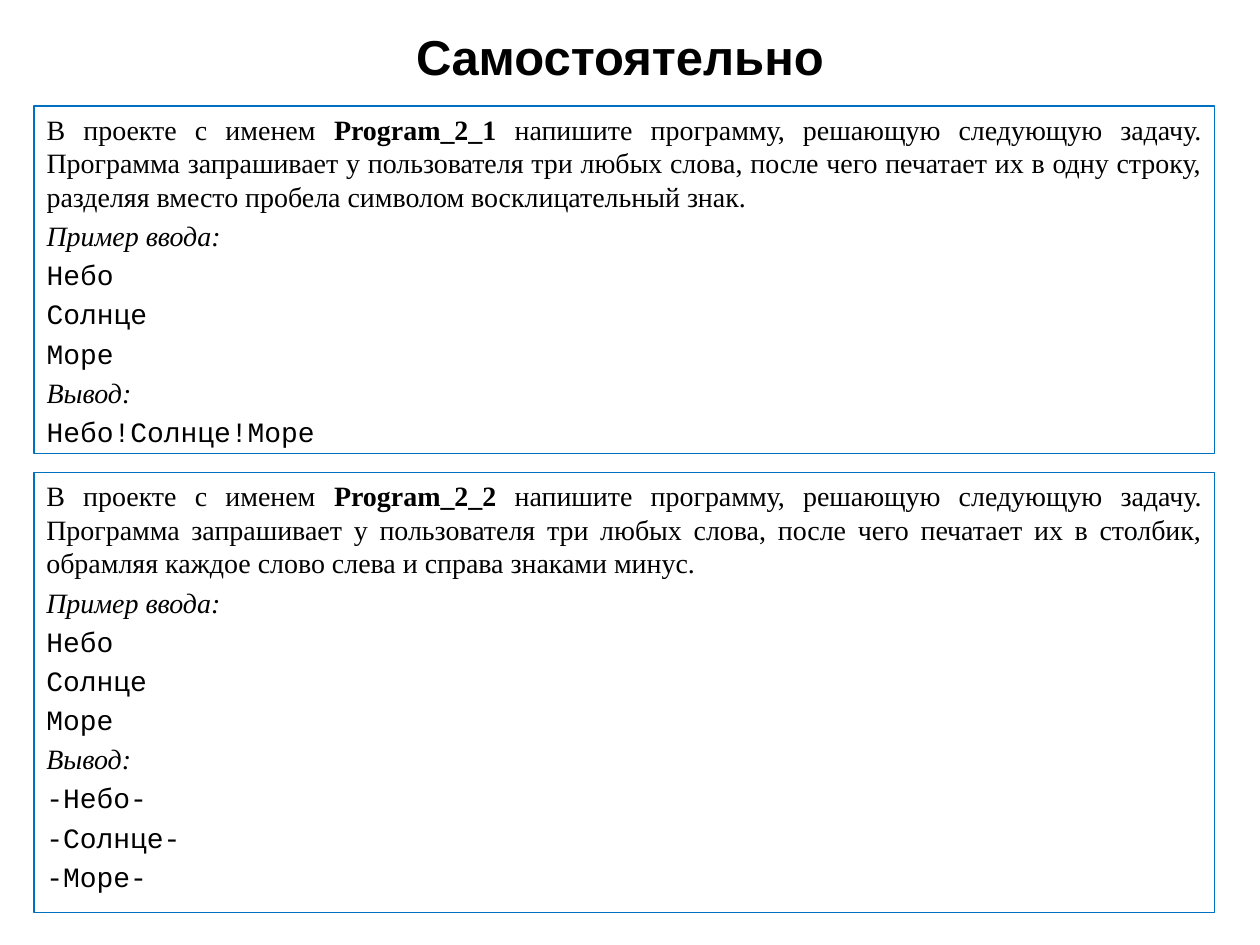
from pptx import Presentation
from pptx.dml.color import RGBColor
from pptx.enum.shapes import MSO_SHAPE
from pptx.enum.text import MSO_ANCHOR as Anchor, MSO_AUTO_SIZE as AutoSize, PP_ALIGN as Align
from pptx.oxml.xmlchemy import OxmlElement
from pptx.util import Inches, Pt

BLACK = RGBColor(0x00, 0x00, 0x00)
WHITE = RGBColor(0xFF, 0xFF, 0xFF)
BLUE = RGBColor(0x00, 0x70, 0xC0)
SERIF, MONO, SANS = "Times New Roman", "Courier New", "Arial"
WORDS = ["Небо", "Солнце", "Море"]
TASK_LEFT, TASK_WIDTH = 0.27, 9.37


def place(shape, left, top, width, height):
    """Move a shape to a box given in inches."""
    shape.left, shape.top = Inches(left), Inches(top)
    shape.width, shape.height = Inches(width), Inches(height)


def add_span(para, text, font=SERIF, size=16, bold=False, italic=False):
    """Append formatted text to a paragraph."""
    span = para.add_run()
    span.text = text
    span.font.name, span.font.size = font, Pt(size)
    span.font.bold, span.font.italic = bold, italic
    span.font.color.rgb = BLACK


def add_title(page, text, box):
    """Fill the title placeholder."""
    title = page.shapes.title
    place(title, *box)
    frame = title.text_frame
    frame.auto_size = AutoSize.NONE
    frame.vertical_anchor = Anchor.MIDDLE
    para = frame.paragraphs[0]
    para.alignment = Align.CENTER
    add_span(para, text, font=SANS, size=28, bold=True)


def add_task(shape, box, project, goal, output, example_align):
    """Fill a framed box with a task, its sample input and its output."""
    place(shape, *box)
    shape.fill.solid()
    shape.fill.fore_color.rgb = WHITE
    shape.line.color.rgb = BLUE
    shape.line.width = Pt(0.75)
    frame = shape.text_frame
    frame.word_wrap = True
    frame.auto_size = AutoSize.NONE
    frame.vertical_anchor = Anchor.TOP

    intro = [
        ("В проекте с именем ", {}),
        (project, {"bold": True}),
        (" напишите программу, решающую следующую задачу. Программа запрашивает "
         "у пользователя три любых слова, после чего печатает их " + goal, {}),
    ]
    rows = [intro]
    for label, lines in (("Пример ввода:", WORDS), ("Вывод:", output)):
        rows.append([(label, {"italic": True})])
        rows += [[(line, {"font": MONO})] for line in lines]

    for index, row in enumerate(rows):
        para = frame.add_paragraph() if index else frame.paragraphs[0]
        para.alignment = example_align if index else Align.JUSTIFY
        para.space_before = Pt(3.2)
        properties = para._p.get_or_add_pPr()
        properties.set("marL", "0")
        properties.set("indent", "0")
        properties.append(OxmlElement("a:buNone"))
        for text, style in row:
            add_span(para, text, **style)


def main():
    """Build the slide and save it."""
    deck = Presentation()
    deck.slide_width, deck.slide_height = Inches(10), Inches(7.5)
    page = deck.slides.add_slide(deck.slide_layouts[1])
    add_title(page, "Cамостоятельно", (0.42, 0.13, 9, 0.62))
    add_task(page.placeholders[1], (TASK_LEFT, 0.84, TASK_WIDTH, 2.76), "Program_2_1",
             "в одну строку, разделяя вместо пробела символом восклицательный знак.",
             ["!".join(WORDS)], Align.LEFT)
    frame_box = page.shapes.add_shape(MSO_SHAPE.RECTANGLE, 0, 0, 0, 0)
    frame_box.shadow.inherit = False
    add_task(frame_box, (TASK_LEFT, 3.75, TASK_WIDTH, 3.49), "Program_2_2",
             "в столбик, обрамляя каждое слово слева и справа знаками минус.",
             [f"-{word}-" for word in WORDS], Align.JUSTIFY)
    deck.save("out.pptx")


if __name__ == "__main__":
    main()
